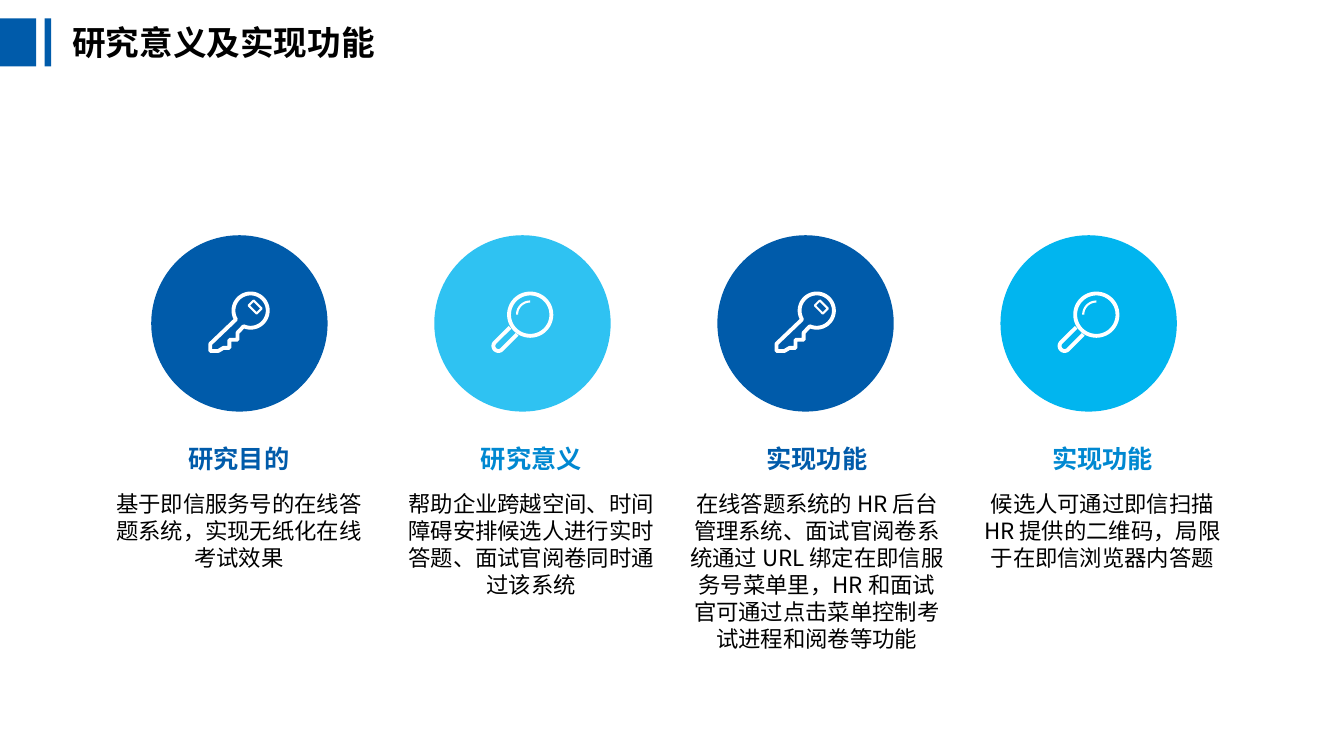
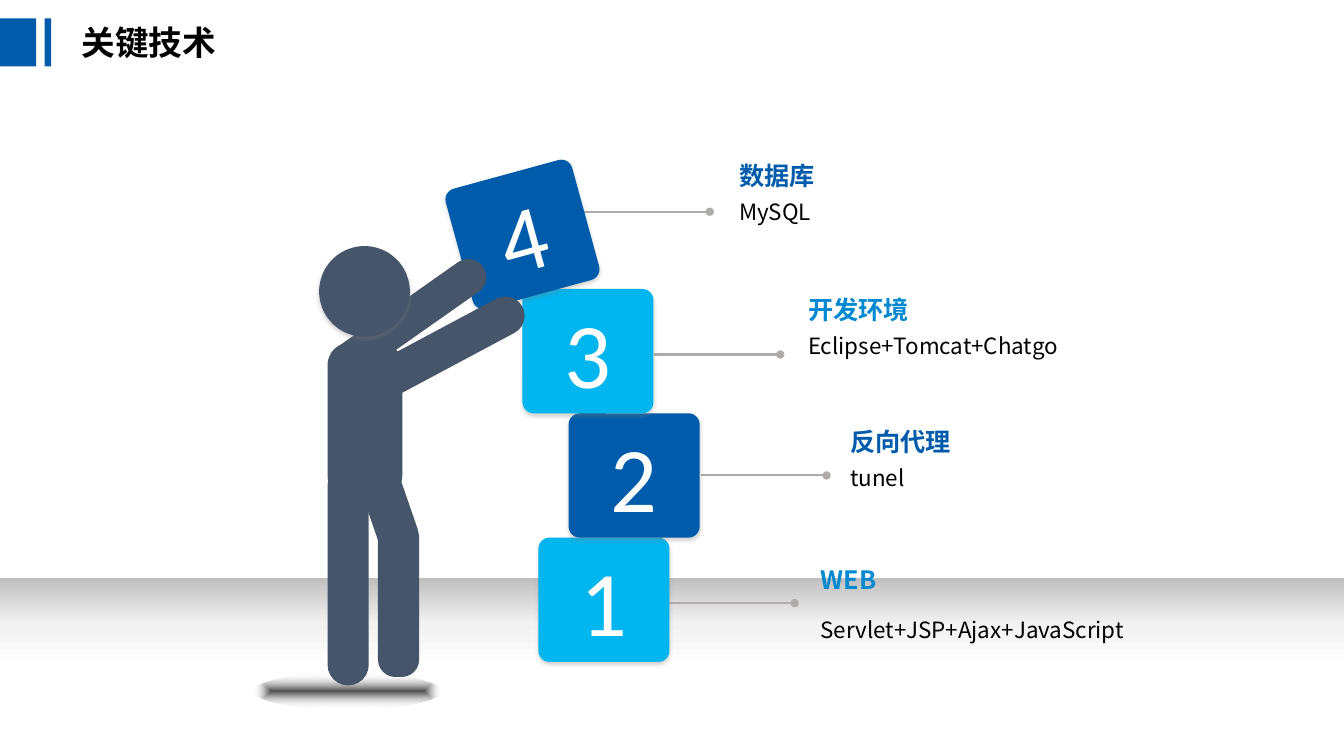
from math import cos, radians, sin

from lxml import etree
from pptx import Presentation
from pptx.dml.color import RGBColor
from pptx.enum.shapes import MSO_CONNECTOR, MSO_SHAPE
from pptx.enum.text import MSO_ANCHOR, PP_ALIGN
from pptx.oxml import parse_xml
from pptx.oxml.ns import nsdecls, qn
from pptx.util import Pt

RECT, ROUND, OVAL = MSO_SHAPE.RECTANGLE, MSO_SHAPE.ROUNDED_RECTANGLE, MSO_SHAPE.OVAL
LEFT, CENTER = PP_ALIGN.LEFT, PP_ALIGN.CENTER
TOP, MIDDLE = MSO_ANCHOR.TOP, MSO_ANCHOR.MIDDLE
STRAIGHT = MSO_CONNECTOR.STRAIGHT

C = {name: RGBColor.from_string(value) for name, value in {
    "blue": "005BAA", "sky": "01B5EF", "light": "2FC2F2", "azure": "0088D1",
    "slate": "46556A", "grey": "AFABAB", "black": "000000", "white": "FFFFFF",
}.items()}
CJK, LATIN = "Noto Sans CJK SC", "Calibri"

prs = Presentation()
prs.slide_width, prs.slide_height = 12192000, 6858000
U = prs.slide_width // 160  # the slide is a grid of 160 columns and 90 rows


def shape(s, kind, at, color, adj=None, rot=0, shadow=False):
    """Add a borderless preset shape; at is in grid units."""
    sp = s.shapes.add_shape(kind, *[round(v * U) for v in at])
    sp.fill.solid()
    sp.fill.fore_color.rgb = C[color]
    sp.line.fill.background()
    sp.shadow.inherit = False
    sp.rotation = rot
    if adj is not None:
        sp.adjustments[0] = adj
    if shadow:
        sp._element.spPr.find(qn("a:effectLst")).append(parse_xml(
            f'<a:outerShdw {nsdecls("a")} blurRad="39370" dist="22860" dir="5400000">'
            '<a:srgbClr val="808080"><a:alpha val="35000"/></a:srgbClr></a:outerShdw>'))
    return sp


def write(s, at, txt, size, color="black", bold=False, font=CJK, align=LEFT,
          spacing=None, sp=None):
    """Write one paragraph into sp, or into a new text box at grid units."""
    sp = sp or s.shapes.add_textbox(*[round(v * U) for v in at])
    tf = sp.text_frame
    tf.word_wrap = True
    tf.margin_left = tf.margin_right = tf.margin_top = tf.margin_bottom = 0
    tf.vertical_anchor = TOP if at else MIDDLE
    p = tf.paragraphs[0]
    p.text = txt
    p.alignment = align
    if spacing:
        p.line_spacing = spacing
    p.font.size, p.font.bold, p.font.name = Pt(size), bold, font
    p.font.color.rgb = C[color]
    etree.SubElement(p._p.pPr.find(qn("a:defRPr")), qn("a:ea"), typeface=font)


# Both slides: blue blocks and title
slides = []
for title, left in [("研究意义及实现功能", 8.6), ("关键技术", 9.7)]:
    s = prs.slides.add_slide(prs.slide_layouts[6])
    for x, w in [(0, 4.3), (5.3, 0.8)]:
        shape(s, RECT, (x, 2.2, w, 5.7), "blue")
    write(s, (left, 2.6, 88, 4.8), title, 24, bold=True)
    slides.append(s)

# Slide 1: icons are strokes in hundredths of an inch;
# an entry of five numbers is an arc: centre x, centre y, radius, from, to
STEP = 0.12 * U
KEY = [
    (2.75, True, [(42, 19, 17, 149, 477), (29, 41), (29, 48), (21, 48), (21, 56),
                  (15, 56), (10, 59), (2, 59), (2, 52)]),
    (1.5, True, [(40, 14), (45, 9), (53, 17), (48, 22)]),
]
LENS = [
    (2.75, True, [(38.5, 23, 21, 0, 350)]),
    (2.75, False, [(25.5, 42.5), (7, 54, 5, 45, 225), (18.5, 35.5)]),
    (1.5, False, [(38.5, 23, 13, 180, 270)]),
]
columns = [
    ("blue", KEY, 13.2, "blue", "研究目的",
     "基于即信服务号的在线答题系统，实现无纸化在线考试效果"),
    ("light", LENS, 48, "azure", "研究意义",
     "帮助企业跨越空间、时间障碍安排候选人进行实时答题、面试官阅卷同时通过该系统"),
    ("blue", KEY, 82, "blue", "实现功能",
     "在线答题系统的 HR 后台管理系统、面试官阅卷系统通过 URL 绑定在即信服务号菜单里，"
     "HR 和面试官可通过点击菜单控制考试进程和阅卷等功能"),
    ("sky", LENS, 116, "azure", "实现功能",
     "候选人可通过即信扫描 HR 提供的二维码，局限于在即信浏览器内答题"),
]
s = slides[0]
for i, (disc, icon, text_x, color, head, body) in enumerate(columns):
    x, y = 18 + 33.7 * i, 28
    shape(s, OVAL, (x, y, 21, 21), disc)
    for width, closed, stroke in icon:
        pts = []
        for entry in stroke:
            if len(entry) == 2:
                pts.append(entry)
            else:
                cx, cy, r, start, end = entry
                pts += [(cx + r * cos(radians(a)), cy + r * sin(radians(a)))
                        for a in range(start, end + 1, 5)]
        pts = [((x + 6.8) * U + px * STEP, (y + 6.7) * U + py * STEP) for px, py in pts]
        fb = s.shapes.build_freeform(*pts[0])
        fb.add_line_segments(pts[1:], close=closed)
        sp = fb.convert_to_shape()
        sp.fill.background()
        sp.line.color.rgb = C["white"]
        sp.line.width = Pt(width)
        sp.shadow.inherit = False
    write(s, (text_x, 52.8, 30.5, 3.6), head, 18, color, True, align=CENTER)
    write(s, (text_x, 58.4, 30.5, 19.5), body, 16, align=CENTER)

# Slide 2: ground and the shadow under the figure
s = slides[1]
ground = shape(s, RECT, (0, 68.8, 160, 21.2), "white")

# Numbered cards with their leader lines and labels
cards = [  # number, card x, y, rotation, line x, y, label x, y, spacing, head, body
    ("1", 64.1, 64, 0, 79.6, 71.8, 97.7, 67.2, 1.5, "WEB", "Servlet+JSP+Ajax+JavaScript"),
    ("2", 67.7, 49.2, 0, 83.4, 56.6, 101.2, 50.8, None, "反向代理", "tunel"),
    ("3", 62.2, 34.4, 0, 77.9, 42.2, 96.2, 35, None, "开发环境", "Eclipse+Tomcat+Chatgo"),
    ("4", 54.4, 20.5, 344.7, 69.5, 25.2, 88, 19.1, None, "数据库", "MySQL"),
]
for i, (num, x, y, rot, lx, ly, tx, ty, spacing, head, body) in enumerate(cards):
    c = s.shapes.add_connector(STRAIGHT, *[round(v * U) for v in (lx, ly, lx + 15, ly)])
    c.line.color.rgb = C["grey"]
    c.line.width = Pt(1.5)
    spPr = c._element.spPr
    etree.SubElement(spPr.find(qn("a:ln")), qn("a:tailEnd"), type="oval")
    etree.SubElement(spPr, qn("a:effectLst"))
    card = shape(s, ROUND, (x, y, 15.6, 14.8), ("sky", "blue")[i % 2], 0.09, rot, True)
    write(s, None, num, 66, "white", font=LATIN, align=CENTER, sp=card)
    write(s, (tx, ty, 43, 3.6), head, 18, ("azure", "blue")[i % 2], True)
    write(s, (tx, ty + 4.5, 43, 5), body, 16, spacing=spacing)

# Figure, from back to front
foot_shadow = shape(s, OVAL, (30.2, 80.2, 22.4, 4.2), "white")
for kind, at, adj, rot, shadow in [
    (ROUND, (46.6, 27.2, 4.3, 21.4), 0.5, 54.9, False),   # far arm
    (OVAL, (38, 29.3, 10.8, 10.8), None, 0, True),        # head
    (ROUND, (39, 40.8, 8.9, 18.5), 0.3, 0, False),        # torso
    (ROUND, (39, 55.3, 4.9, 26.3), 0.5, 0, False),        # standing leg
    (ROUND, (43.9, 55.6, 4.9, 10.2), 0.4, 340.9, False),  # thigh
    (ROUND, (51.2, 31.3, 4.6, 19.7), 0.5, 241.9, False),  # near arm
    (ROUND, (45, 61.9, 4.9, 18.7), 0.42, 0, False),       # shin
]:
    shape(s, kind, at, "slate", adj, rot, shadow)

# Gradients: stops are position, colour and opacity in percent
for sp, stops, direction in [
    (ground, [(0, "BFBFBF", 100), (26, "F2F2F2", 100), (50, "FFFFFF", 100),
              (100, "FFFFFF", 100)], '<a:lin ang="5400000" scaled="0"/>'),
    (foot_shadow, [(0, "171717", 76), (100, "FFFFFF", 0)],
     '<a:path path="shape"><a:fillToRect l="50000" t="50000" r="50000" b="50000"/></a:path>'),
]:
    gs = "".join(f'<a:gs pos="{pos * 1000}"><a:srgbClr val="{color}">'
                 f'<a:alpha val="{alpha * 1000}"/></a:srgbClr></a:gs>'
                 for pos, color, alpha in stops)
    spPr = sp._element.spPr
    spPr.replace(spPr.find(qn("a:solidFill")), parse_xml(
        f'<a:gradFill {nsdecls("a")} rotWithShape="1"><a:gsLst>{gs}</a:gsLst>'
        f'{direction}</a:gradFill>'))

prs.save("out.pptx")
